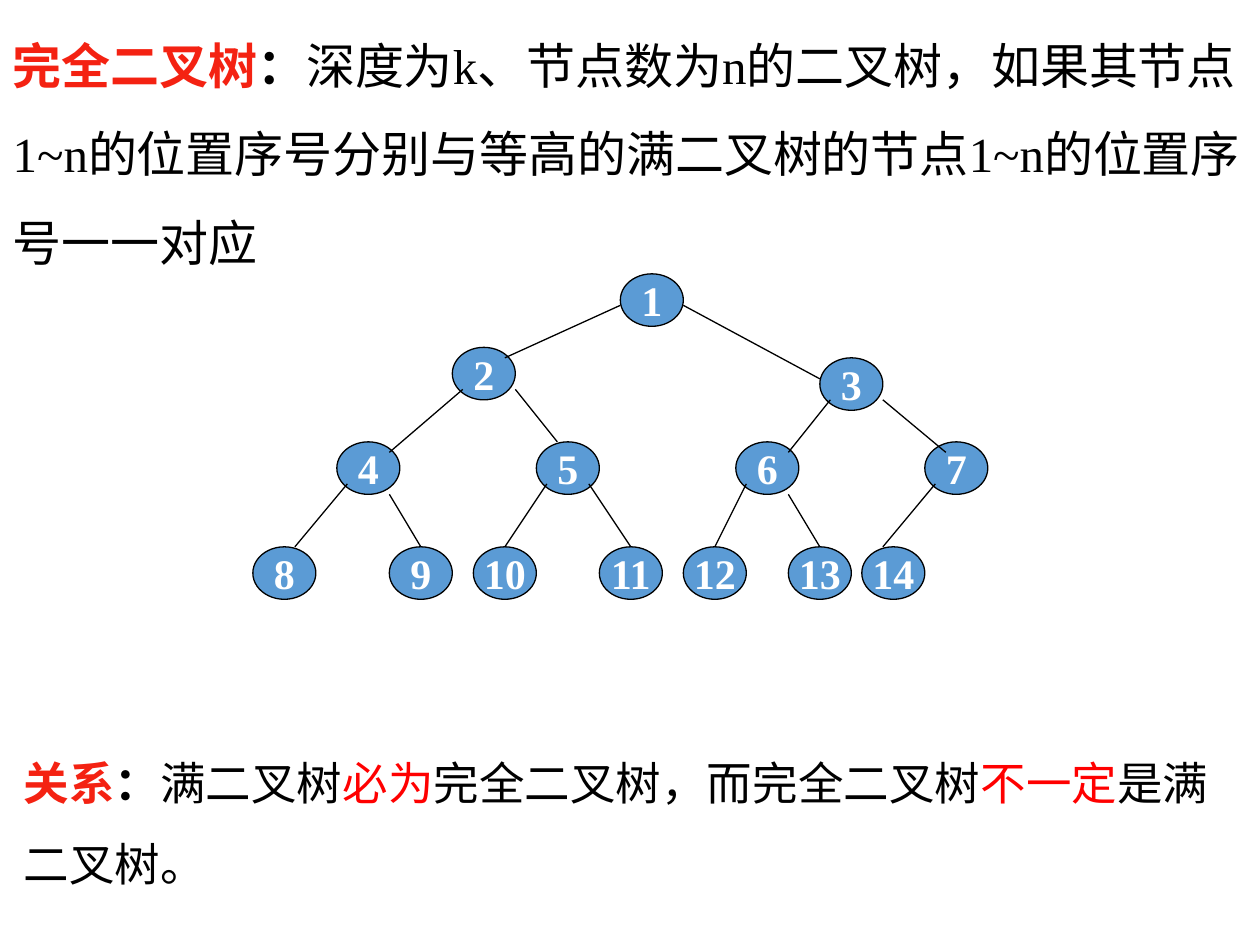
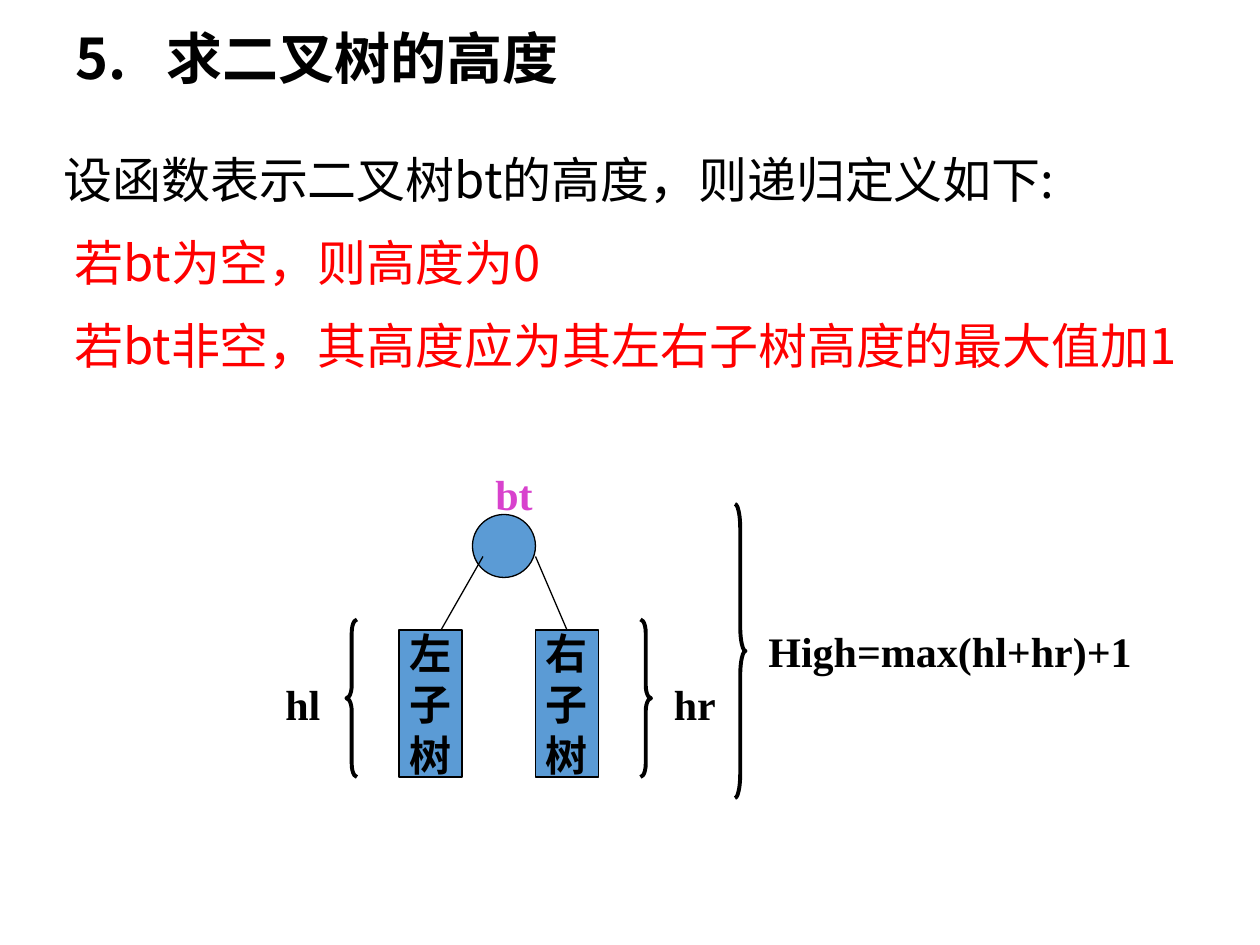
from lxml.etree import SubElement
from pptx import Presentation
from pptx.dml.color import RGBColor
from pptx.enum.shapes import MSO_CONNECTOR, MSO_SHAPE
from pptx.enum.text import MSO_ANCHOR, MSO_AUTO_SIZE, PP_ALIGN
from pptx.oxml.ns import qn
from pptx.util import Pt

BLACK, WHITE, BLUE = "000000", "FFFFFF", "5B9BD5"
TERM_RED, RED, MAGENTA = "F42212", "FF0000", "D842CD"
SERIF, SANS = "Times New Roman", "Noto Sans CJK SC"
UNIT = 6


def rgb(value):
    """Turn a hex string into a colour."""
    return RGBColor.from_string(value)


def set_font(r, size, color=BLACK, bold=False, name=SERIF):
    """Format one run, with a sans face for Chinese letters."""
    r.font.size, r.font.bold, r.font.name = Pt(size), bold, name
    r.font.color.rgb = rgb(color)
    SubElement(r.font._element, qn("a:ea")).set("typeface", SANS)


def set_frame(tf, anchor=MSO_ANCHOR.TOP, wrap=True):
    """Give a text frame its anchor and wrapping, without autofit."""
    tf.word_wrap, tf.auto_size = wrap, MSO_AUTO_SIZE.NONE
    tf.vertical_anchor = anchor


def move(sp, box):
    """Place a shape at a box of left, top, width and height."""
    sp.left, sp.top, sp.width, sp.height = (Pt(v) for v in box)


def add_paragraph(tf, index, runs, size, spacing, name=SERIF, before=0, indent=0):
    """Write one plain paragraph from (text, colour, bold) runs."""
    p = tf.paragraphs[0] if index == 0 else tf.add_paragraph()
    pPr = p._p.get_or_add_pPr()
    pPr.set("marL", "0")
    pPr.set("indent", str(Pt(indent)))
    SubElement(pPr, qn("a:buNone"))
    p.alignment = PP_ALIGN.LEFT
    p.line_spacing, p.space_before = Pt(spacing), Pt(before)
    for text, color, bold in runs:
        r = p.add_run()
        r.text = text
        set_font(r, size, color, bold, name)
    return p


def to_points(origin, cells):
    """Turn grid cells (x, y and perhaps width, height) into points."""
    x, y, *size = (UNIT * c for c in cells)
    return [origin[0] + x, origin[1] + y, *size]


def add_shape(s, kind, box, fill=BLUE, line=0.75):
    """Draw a black-outlined preset shape."""
    sp = s.shapes.add_shape(kind, *(Pt(v) for v in box))
    sp.shadow.inherit = False
    if fill:
        sp.fill.solid()
        sp.fill.fore_color.rgb = rgb(fill)
    else:
        sp.fill.background()
    sp.line.color.rgb, sp.line.width = rgb(BLACK), Pt(line)
    return sp


def add_caption(sp, lines, color, spacing=None):
    """Centre bold lines inside a shape."""
    tf = sp.text_frame
    tf.text = "\n".join(lines)
    set_frame(tf, MSO_ANCHOR.MIDDLE, wrap=False)
    for p in tf.paragraphs:
        p.alignment = PP_ALIGN.CENTER
        if spacing:
            p.line_spacing = Pt(spacing)
        set_font(p.runs[0], 24, color, True)


def add_edge(s, start, end):
    """Draw a thin black line between two points."""
    c = s.shapes.add_connector(MSO_CONNECTOR.STRAIGHT, *(Pt(v) for v in (*start, *end)))
    c.line.color.rgb, c.line.width = rgb(BLACK), Pt(0.75)
    SubElement(c._element.spPr, qn("a:effectLst"))
    return c


def add_label(s, box, text, color=BLACK):
    """Add a bold label."""
    tf = s.shapes.add_textbox(*(Pt(v) for v in box)).text_frame
    set_frame(tf)
    tf.text = text
    set_font(tf.paragraphs[0].runs[0], 24, color, True)


def add_tree(s, origin):
    """Draw the complete binary tree of 14 numbered nodes."""
    nodes = [(35, 0), (19, 7), (54, 8)]
    nodes += [(x, 16) for x in (8, 27, 46, 64)]
    nodes += [(x, 26) for x in (0, 13, 21, 33, 41, 51, 58)]
    edges = [
        (35, 3, 24, 8), (41, 3, 54, 10), (20, 11, 13, 17), (25, 11, 29, 16),
        (55, 12, 51, 17), (60, 12, 66, 17), (9, 20, 4, 26), (13, 21, 16, 26),
        (28, 20, 24, 26), (32, 20, 36, 26), (47, 20, 44, 26), (51, 21, 54, 26),
        (65, 20, 60, 26),
    ]
    for number, cell in enumerate(nodes, 1):
        sp = add_shape(s, MSO_SHAPE.OVAL, to_points(origin, (*cell, 6, 5)))
        add_caption(sp, [str(number)], WHITE)
    for edge in edges:
        add_edge(s, to_points(origin, edge[:2]), to_points(origin, edge[2:]))


def add_height_diagram(s, origin):
    """Draw a root with two subtrees and braces for their heights."""
    add_shape(s, MSO_SHAPE.OVAL, to_points(origin, (19, 5, 6, 6)))
    subtrees = []
    for x, name in ((12, "左子树"), (25, "右子树")):
        sp = add_shape(s, MSO_SHAPE.RECTANGLE, to_points(origin, (x, 16, 6, 14)))
        add_caption(sp, name, BLACK, spacing=29)
        subtrees.append(sp)
    add_edge(s, to_points(origin, (20, 9)), to_points(origin, (16, 16)))
    right_edge = add_edge(s, to_points(origin, (25, 9)), to_points(origin, (28, 16)))
    right_edge.end_connect(subtrees[1], 0)
    for kind, cells, bend in (
        (MSO_SHAPE.LEFT_BRACE, (7, 15, 1, 15), 1.25),
        (MSO_SHAPE.RIGHT_BRACE, (35, 15, 1, 15), 1.25),
        (MSO_SHAPE.RIGHT_BRACE, (44, 4, 1, 28), 2.33),
    ):
        brace = add_shape(s, kind, to_points(origin, cells), fill=None, line=2.25)
        brace.adjustments[0] = bend
    for cells, text, color in (
        ((20, 0, 8, 6), "bt", MAGENTA),
        ((0, 20, 6, 6), "hl", BLACK),
        ((37, 20, 7, 6), "hr", BLACK),
        ((46, 15, 40, 6), "High=max(hl+hr)+1", BLACK),
    ):
        add_label(s, to_points(origin, cells), text, color)


def build_complete_tree(prs):
    """Build the slide that defines a complete binary tree."""
    s = prs.slides.add_slide(prs.slide_layouts[1])
    title = s.shapes.title._element
    title.getparent().remove(title)
    body = s.placeholders[1]
    move(body, (0, 0, 720, 160))
    set_frame(body.text_frame)
    add_paragraph(body.text_frame, 0, [
        ("完全二叉树", TERM_RED, True),
        ("：", BLACK, True),
        ("深度为k、节点数为n的二叉树，如果其节点1~n的位置序号分别与等高的满二叉树的节点1~n的位置序号一一对应",
         BLACK, False),
    ], 28, 50.4)
    add_tree(s, (144.5, 156.5))
    relation = s.shapes.add_textbox(Pt(6.5), Pt(412), Pt(713.5), Pt(101.5)).text_frame
    set_frame(relation)
    add_paragraph(relation, 0, [
        ("关系", TERM_RED, True),
        ("：", BLACK, True),
        ("满二叉树", BLACK, False),
        ("必为", RED, False),
        ("完全二叉树，而完全二叉树", BLACK, False),
        ("不一定", RED, False),
        ("是满二叉树。", BLACK, False),
    ], 26, 46.8)


def build_tree_height(prs):
    """Build the slide on the height of a binary tree."""
    s = prs.slides.add_slide(prs.slide_layouts[1])
    title, body = s.shapes.title, s.placeholders[1]
    move(title, (36, 11, 660, 46))
    set_frame(title.text_frame)
    heading = [(text, BLACK, True) for text in ("5.", " ", "求二叉树的高度")]
    p = add_paragraph(title.text_frame, 0, heading, 32, 37.5, SANS)
    p.runs[1].font._element.set("spc", "1550")
    move(body, (29, 81, 660, 142))
    set_frame(body.text_frame)
    for i, (text, color, indent) in enumerate((
        ("设函数表示二叉树bt的高度，则递归定义如下:", BLACK, 0),
        ("若bt为空，则高度为0", RED, 6.3),
        ("若bt非空，其高度应为其左右子树高度的最大值加1", RED, 6.3),
    )):
        add_paragraph(body.text_frame, i, [(text, color, False)], 28, 34.4, SANS,
                      before=13 if i else 0, indent=indent)
    add_height_diagram(s, (156, 264))


def main():
    """Build and save both slides."""
    prs = Presentation()
    prs.slide_width, prs.slide_height = Pt(720), Pt(540)
    build_complete_tree(prs)
    build_tree_height(prs)
    prs.save("out.pptx")


if __name__ == "__main__":
    main()
